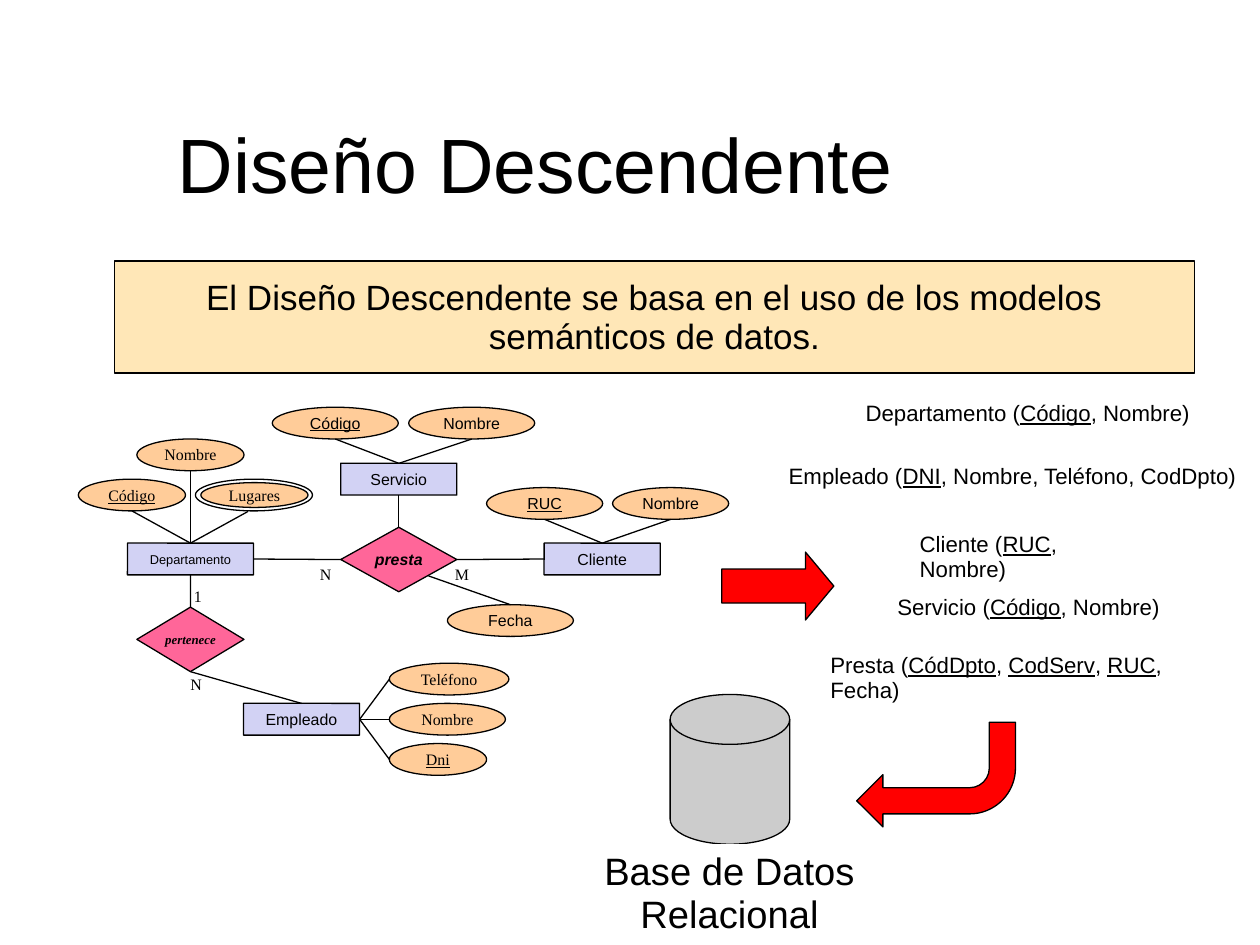
"""Build the slide on top-down database design."""
from pptx import Presentation
from pptx.dml.color import RGBColor
from pptx.enum.shapes import MSO_CONNECTOR as CONN, MSO_SHAPE as SHP
from pptx.enum.text import MSO_ANCHOR as ANC, PP_ALIGN as AL
from pptx.oxml.ns import qn
from pptx.util import Cm, Pt

BLACK = RGBColor(0x00, 0x00, 0x00)
WHITE = RGBColor(0xFF, 0xFF, 0xFF)
CREAM = RGBColor(0xFF, 0xE7, 0xB7)
ORANGE = RGBColor(0xFF, 0xCC, 0x99)
LILAC = RGBColor(0xD2, 0xD2, 0xF4)
PINK = RGBColor(0xFF, 0x66, 0x99)
RED = RGBColor(0xFF, 0x00, 0x00)
GREY = RGBColor(0xCC, 0xCC, 0xCC)
ARIAL, TIMES = "Arial", "Times New Roman"

prs = Presentation()
prs.slide_width, prs.slide_height = Cm(25.4), Cm(19.05)
slide = prs.slides.add_slide(prs.slide_layouts[6])


def add(text, x, y, w, h, kind=None, fill=None, outline=True, size=9.1, font=ARIAL,
        bold=False, align=AL.CENTER, anchor=ANC.MIDDLE, wrap=True, spacing=0.93, top=0.13):
    """Add a shape or text box; underscores enclose underlined text."""
    box = (Cm(x), Cm(y), Cm(w), Cm(h))
    if kind is None:
        s = slide.shapes.add_textbox(*box)
    else:
        s = slide.shapes.add_shape(kind, *box)
        s.shadow.inherit = False
        s.fill.solid()
        s.fill.fore_color.rgb = fill
        if outline:
            s.line.color.rgb = BLACK
            s.line.width = Pt(0.75)
        else:
            s.line.fill.background()
    if not text:
        return s
    tf = s.text_frame
    tf.word_wrap, tf.vertical_anchor = wrap, anchor
    tf.margin_left = tf.margin_right = Cm(0.23)
    tf.margin_top, tf.margin_bottom = Cm(top), Cm(0.1)
    for i, line in enumerate(text.split("\n")):
        p = tf.add_paragraph() if i else tf.paragraphs[0]
        p.alignment, p.line_spacing = align, spacing
        for j, part in enumerate(line.split("_")):
            r = p.add_run()
            r.text = part
            r.font.name, r.font.size = font, Pt(size)
            r.font.color.rgb = BLACK
            r.font.bold = r.font.italic = bold
            r.font.underline = j % 2 == 1
    return s


def link(begin, end, x=0, y=0):
    """Join a (shape, side) pair to another one, or to a point."""
    c = slide.shapes.add_connector(CONN.STRAIGHT, 0, 0, Cm(x), Cm(y))
    c.begin_connect(*begin)
    if end:
        c.end_connect(*end)
    c.line.color.rgb = BLACK
    c.line.width = Pt(0.75)
    c._element.spPr.append(c._element.spPr.makeelement(qn("a:effectLst"), {}))


add("Diseño Descendente", 1.04, 1.96, 19.5, 2.72, size=44, spacing=1, top=0.03)

NODE_H, RHOMB_H = 0.64, 1.3
entities = {}
for name, x, y, w, size in [
    ("Departamento", 2.57, 10.95, 2.54, 7.3),
    ("Cliente", 10.97, 10.95, 2.34, 9.1),
    ("Servicio", 6.87, 9.34, 2.34, 9.1),
    ("Empleado", 4.91, 14.18, 2.34, 9.1),
]:
    s = add(name, x, y, w, NODE_H, SHP.ROUNDED_RECTANGLE, LILAC, size=size)
    s.adjustments[0] = 0.006
    entities[name] = s

for text, x, y, w, font, owner in [
    ("_Código_", 1.58, 9.66, 2.16, TIMES, "Departamento"),
    ("Nombre", 2.76, 8.85, 2.16, TIMES, "Departamento"),
    ("_RUC_", 9.81, 9.83, 2.34, ARIAL, "Cliente"),
    ("Nombre", 12.35, 9.83, 2.34, ARIAL, "Cliente"),
    ("_Código_", 5.49, 8.21, 2.54, ARIAL, "Servicio"),
    ("Nombre", 8.24, 8.21, 2.54, ARIAL, "Servicio"),
    ("Teléfono", 7.85, 13.37, 2.41, TIMES, "Empleado"),
    ("Nombre", 7.85, 14.18, 2.34, TIMES, "Empleado"),
    ("_Dni_", 7.85, 14.99, 1.96, TIMES, "Empleado"),
]:
    add(text, x, y, w, NODE_H, SHP.OVAL, ORANGE, font=font)
    if owner == "Empleado":
        link((entities[owner], 3), None, x, y + NODE_H / 2)
    else:
        link((entities[owner], 0), None, x + w / 2, y + NODE_H)

add("", 3.94, 9.66, 2.36, NODE_H, SHP.OVAL, WHITE)
add("Lugares", 4.05, 9.73, 2.16, 0.5, SHP.OVAL, ORANGE, font=TIMES)
link((entities["Departamento"], 0), None, 5, 10.31)

presta = add("presta", 6.87, 10.63, 2.34, RHOMB_H, SHP.DIAMOND, PINK, bold=True, wrap=False)
pertenece = add("pertenece", 2.76, 12.24, 2.16, RHOMB_H, SHP.DIAMOND, PINK,
                size=7.3, font=TIMES, bold=True, wrap=False)
fecha = add("Fecha", 9.02, 12.19, 2.54, NODE_H, SHP.OVAL, ORANGE)
link((fecha, 0), None, 8.64, 11.61)
for rhomb, side, entity, entity_side in [
    (presta, 1, "Departamento", 3),
    (presta, 3, "Cliente", 1),
    (presta, 0, "Servicio", 2),
    (pertenece, 0, "Departamento", 2),
    (pertenece, 2, "Empleado", 0),
]:
    link((rhomb, side), (entities[entity], entity_side))

for text, x, y in [("N", 6.22, 11.28), ("M", 8.94, 11.28), ("N", 3.61, 13.51), ("1", 3.68, 11.73)]:
    add(text, x, y, 1, 0.69, font=TIMES, align=AL.LEFT, anchor=ANC.TOP, wrap=False)

s = add("", 14.55, 11.13, 2.26, 1.37, SHP.RIGHT_ARROW, RED)
s.adjustments[1] = 0.417

for text, x, y, w in [
    ("Departamento (_Código_, Nombre)", 17.22, 7.95, 7.01),
    ("Empleado (_DNI_, Nombre, Teléfono, CodDpto)", 15.67, 9.22, 10.16),
    ("Cliente (_RUC_, Nombre)", 18.31, 10.59, 4.85),
    ("Servicio (_Código_, Nombre)", 17.86, 11.86, 5.77),
    ("Presta (_CódDpto_, _CodServ_, _RUC_, Fecha)", 16.51, 13.03, 8.43),
]:
    add(text, x, y, w, 0.74, size=12.7, align=AL.LEFT, anchor=ANC.TOP, wrap=False, top=0.15)

add("", 13.51, 14, 2.41, 3.02, SHP.FLOWCHART_MAGNETIC_DISK, GREY)
add("Base de Datos\nRelacional", 12.6, 17.02, 4.22, 1.52, SHP.RECTANGLE, WHITE,
    outline=False, size=21.8, anchor=ANC.TOP, wrap=False, top=0.15)
add("El Diseño Descendente se basa en el uso de los modelos semánticos de datos.",
    2.31, 5.26, 21.77, 2.26, SHP.RECTANGLE, CREAM, size=20, top=0.15)
s = add("", 17.27, 14.56, 3.2, 2.11, SHP.BENT_ARROW, RED)
s.rotation = 180

prs.save("out.pptx")
